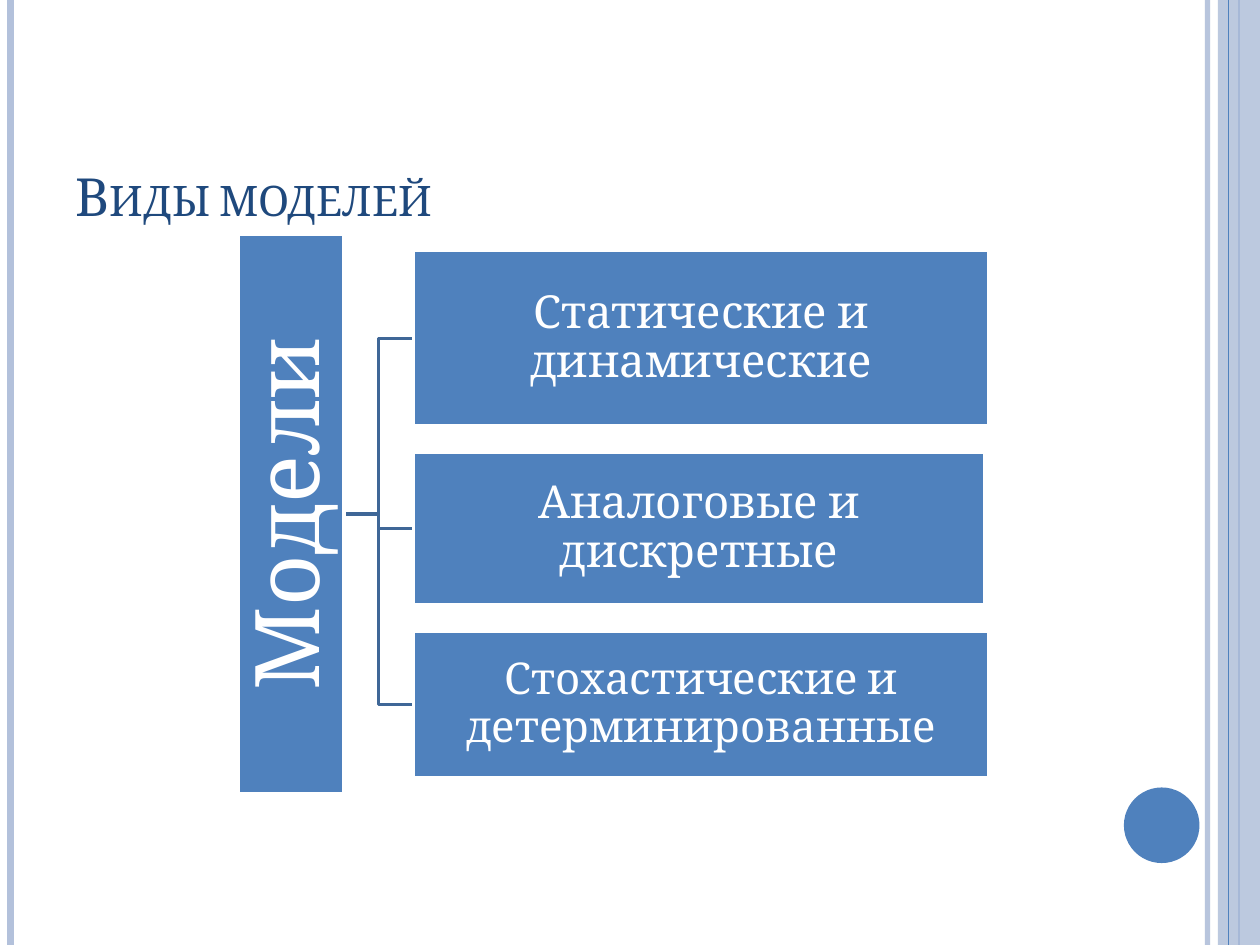
from pptx import Presentation
from pptx.dml.color import RGBColor
from pptx.enum.shapes import MSO_CONNECTOR, MSO_SHAPE
from pptx.enum.text import MSO_ANCHOR, PP_ALIGN
from pptx.oxml.ns import qn
from pptx.util import Pt
from lxml import etree

RECT, OVAL = MSO_SHAPE.RECTANGLE, MSO_SHAPE.OVAL
STRAIGHT = MSO_CONNECTOR.STRAIGHT
MIDDLE, BOTTOM = MSO_ANCHOR.MIDDLE, MSO_ANCHOR.BOTTOM
CENTER = PP_ALIGN.CENTER
WIDTH, HEIGHT = 720, 540


def color(value):
    return RGBColor.from_string(value)


class SlideBuilder:
    font = "Cambria"
    blue, pale, white = "4F81BD", "B3C1DB", "FFFFFF"
    dark, branch_color = "1F497D", "3F6797"

    def __init__(self, slide):
        self.slide = slide
        self.shapes = slide.shapes

    def set_alpha(self, sp, percent):
        for clr in sp._element.spPr.iter(qn("a:srgbClr")):
            etree.SubElement(clr, qn("a:alpha"), val=str(percent * 1000))

    def format_run(self, p, size, fill):
        r = p.runs[0]
        r.font.name = self.font
        r.font.size = Pt(size)
        r.font.color.rgb = color(fill)
        return r

    def rule(self, x, width, fill, alpha=None):
        """Vertical line over the full slide height."""
        line = self.shapes.add_connector(STRAIGHT, Pt(x), 0, Pt(x), Pt(HEIGHT))
        line.line.color.rgb = color(fill)
        line.line.width = Pt(width)
        etree.SubElement(line._element.spPr, qn("a:effectLst"))
        if alpha:
            self.set_alpha(line, alpha)

    def shape(self, kind, x, y, w, h, fill, alpha=None):
        sp = self.shapes.add_shape(kind, Pt(x), Pt(y), Pt(w), Pt(h))
        sp.shadow.inherit = False
        sp.fill.solid()
        sp.fill.fore_color.rgb = color(fill)
        sp.line.fill.background()
        if alpha:
            self.set_alpha(sp, alpha)
        return sp

    def box(self, x, y, w, h, text, size, inset, rotation=0):
        sp = self.shape(RECT, x, y, w, h, self.blue)
        sp.line.color.rgb = color(self.white)
        sp.line.width = Pt(2)
        sp.rotation = rotation
        tf = sp.text_frame
        tf.word_wrap = True
        tf.vertical_anchor = MIDDLE
        tf.margin_left = tf.margin_right = Pt(inset)
        tf.margin_top = tf.margin_bottom = Pt(inset)
        tf.text = text
        p = tf.paragraphs[0]
        p.alignment = CENTER
        p.line_spacing = 0.9
        self.format_run(p, size, self.white)

    def branch(self, x1, y1, x2, y2):
        """Elbow line bending halfway between its ends."""
        mid = (x1 + x2) / 2
        builder = self.shapes.build_freeform(Pt(x1), Pt(y1))
        points = [(mid, y1), (mid, y2), (x2, y2)]
        builder.add_line_segments([(Pt(x), Pt(y)) for x, y in points], close=False)
        sp = builder.convert_to_shape()
        sp.shadow.inherit = False
        sp.fill.background()
        sp.line.color.rgb = color(self.branch_color)
        sp.line.width = Pt(2)

    def title(self, x, y, w, h, text, size):
        tf = self.shapes.add_textbox(Pt(x), Pt(y), Pt(w), Pt(h)).text_frame
        tf.word_wrap = True
        tf.vertical_anchor = BOTTOM
        tf.text = text
        r = self.format_run(tf.paragraphs[0], size, self.dark)
        r.font._element.set("cap", "small")


def main():
    prs = Presentation()
    prs.slide_width, prs.slide_height = Pt(WIDTH), Pt(HEIGHT)
    s = SlideBuilder(prs.slides.add_slide(prs.slide_layouts[6]))

    # Side decoration
    s.rule(690, 3, s.pale, alpha=93)
    s.rule(6, 4.5, s.pale)
    s.rule(708, 1.5, s.blue)
    s.shape(RECT, 696, 0, 24, HEIGHT, s.pale, alpha=87)
    s.rule(702, 0.75, s.blue)
    s.shape(OVAL, 642.25, 450, 43.2, 43.2, s.blue)

    # Title
    s.title(36, 21.6, 588, 111.6, "Виды моделей", 30)

    # Model kinds: text, width, height, text size
    kinds = [
        ("Статические и динамические", 329, 100, 26),
        ("Аналоговые и дискретные", 326.5, 87, 26),
        ("Стохастические и детерминированные", 329, 83.5, 25),
    ]
    left, top, gap = 236.2, 143.3, 15.2
    root_right, root_middle = 196.6, 293.8
    root_length, root_width = 319.7, 60.5

    # Row positions
    rows = []
    y = top
    for kind in kinds:
        rows.append((y, *kind))
        y += kind[2] + gap

    # Branches
    for y, _, _, h, _ in reversed(rows):
        s.branch(root_right, root_middle, left, y + h / 2)

    # Root box, turned to read upwards
    root_x = root_right - (root_width + root_length) / 2
    s.box(root_x, root_middle - root_width / 2, root_length, root_width,
          "Модели", 51, 2.6, rotation=270)

    # Kind boxes
    for y, text, w, h, size in rows:
        s.box(left, y, w, h, text, size, 1.3)

    prs.save("out.pptx")


if __name__ == "__main__":
    main()
